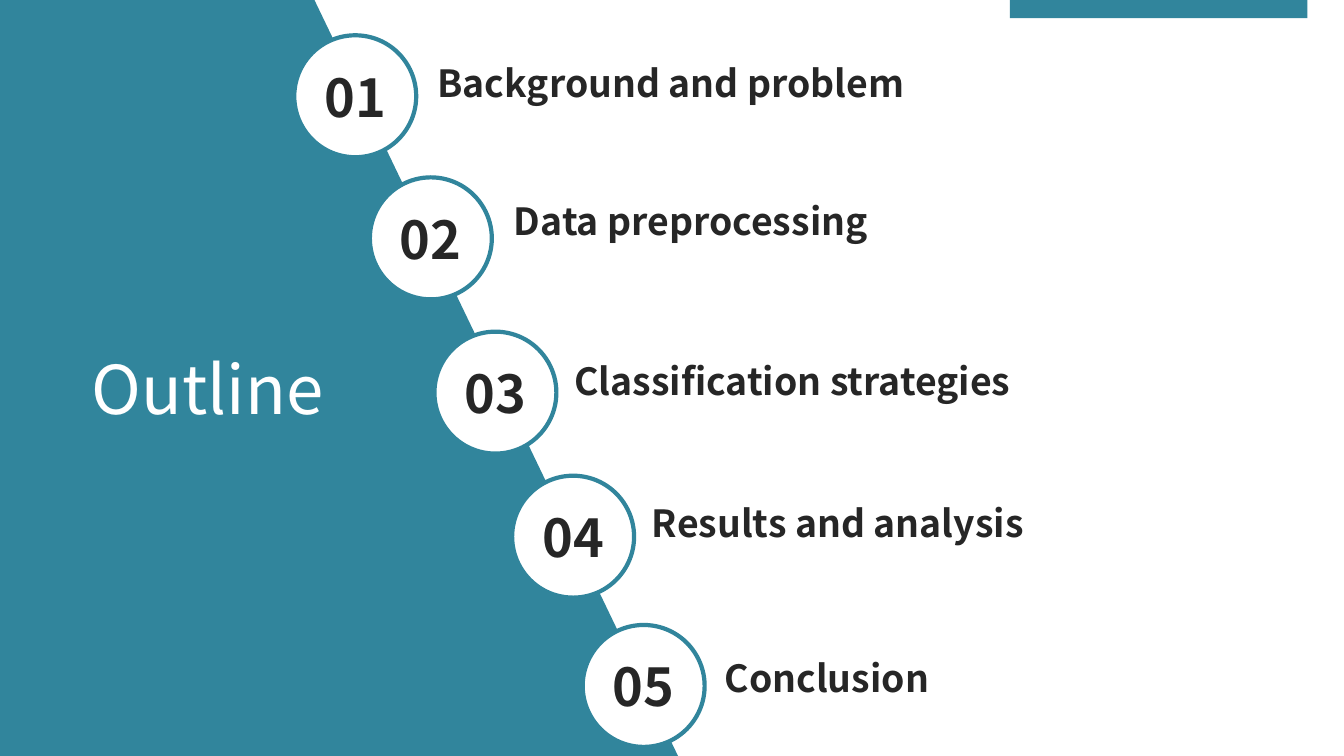
from pptx import Presentation
from pptx import util as u
from pptx.dml.color import RGBColor
from pptx.enum import shapes, text

Pt = u.Pt
FONT = "Noto Sans CJK SC"
COLORS = {"teal": "31859C", "white": "FFFFFF", "ink": "262626"}
DIAMETER = 87.1
LABEL_HEIGHT = 39.6
SECTIONS = [
    ("Background and problem", (210.2, 25.2), (305.3, 39.6), 589.7),
    ("Data preprocessing", (264.2, 126.7), (360, 138.2), 524.9),
    ("Classification strategies", (310.3, 236.9), (403.2, 252), 524.2),
    ("Results and analysis", (365.8, 339.8), (458.6, 353.5), 500),
    ("Conclusion", (416.2, 446.4), (510.5, 464.4), 187.9),
]


def color(name):
    return RGBColor.from_string(COLORS[name])


def paint(sp, fill, line=None, width=3):
    sp.shadow.inherit = False
    sp.fill.solid()
    sp.fill.fore_color.rgb = color(fill)
    if line:
        sp.line.color.rgb = color(line)
        sp.line.width = Pt(width)
    else:
        sp.line.fill.background()


def write(sp, content, size, ink="ink", bold=True, align=text.PP_ALIGN.LEFT,
          anchor=text.MSO_ANCHOR.TOP, wrap=True, grow=True, inset=None):
    tf = sp.text_frame
    tf.word_wrap = wrap
    tf.vertical_anchor = anchor
    fit = text.MSO_AUTO_SIZE
    tf.auto_size = fit.SHAPE_TO_FIT_TEXT if grow else fit.NONE
    if inset is not None:
        tf.margin_left = tf.margin_right = Pt(inset)
        tf.margin_top = tf.margin_bottom = Pt(inset)
    p = tf.paragraphs[0]
    p.alignment = align
    r = p.add_run()
    r.text = content
    r.font.name = FONT
    r.font.size = Pt(size)
    r.font.bold = bold
    r.font.color.rgb = color(ink)


def add_panel(s):
    corners = [(Pt(x), Pt(y)) for x, y in
               [(487.4, 546.5), (223.2, -2.9), (-2.9, -2.9), (-2.9, 549.4)]]
    builder = s.shapes.build_freeform(*corners[0], scale=1.0)
    builder.add_line_segments(corners[1:], close=True)
    paint(builder.convert_to_shape(), "teal")


def add_bar(s):
    sp = s.shapes.add_shape(shapes.MSO_SHAPE.RECTANGLE,
                            Pt(721.4), Pt(0), Pt(212.4), Pt(13))
    paint(sp, "teal")


def add_badge(s, number, x, y):
    sp = s.shapes.add_shape(shapes.MSO_SHAPE.OVAL,
                            Pt(x), Pt(y), Pt(DIAMETER), Pt(DIAMETER))
    paint(sp, "white", line="teal")
    write(sp, f"{number:02d}", 37.3, align=text.PP_ALIGN.CENTER,
          anchor=text.MSO_ANCHOR.MIDDLE, wrap=False, grow=False, inset=0)


def add_label(s, content, x, y, width):
    sp = s.shapes.add_textbox(Pt(x), Pt(y), Pt(width), Pt(LABEL_HEIGHT))
    write(sp, content, 26.7)


def set_title(s, content):
    sp = s.shapes.title
    sp.left, sp.top, sp.width, sp.height = Pt(58.3), Pt(244.8), Pt(185), Pt(65.5)
    write(sp, content, 48, ink="white", bold=False, wrap=False)
    sp.element.getparent().append(sp.element)


def main():
    prs = Presentation()
    prs.slide_width, prs.slide_height = Pt(960), Pt(540)
    s = prs.slides.add_slide(prs.slide_layouts.get_by_name("Title Only"))
    add_panel(s)
    add_bar(s)
    for number, (label, badge_at, label_at, width) in enumerate(SECTIONS, 1):
        add_badge(s, number, *badge_at)
        add_label(s, label, *label_at, width)
    set_title(s, "Outline")
    prs.save("out.pptx")


if __name__ == "__main__":
    main()
